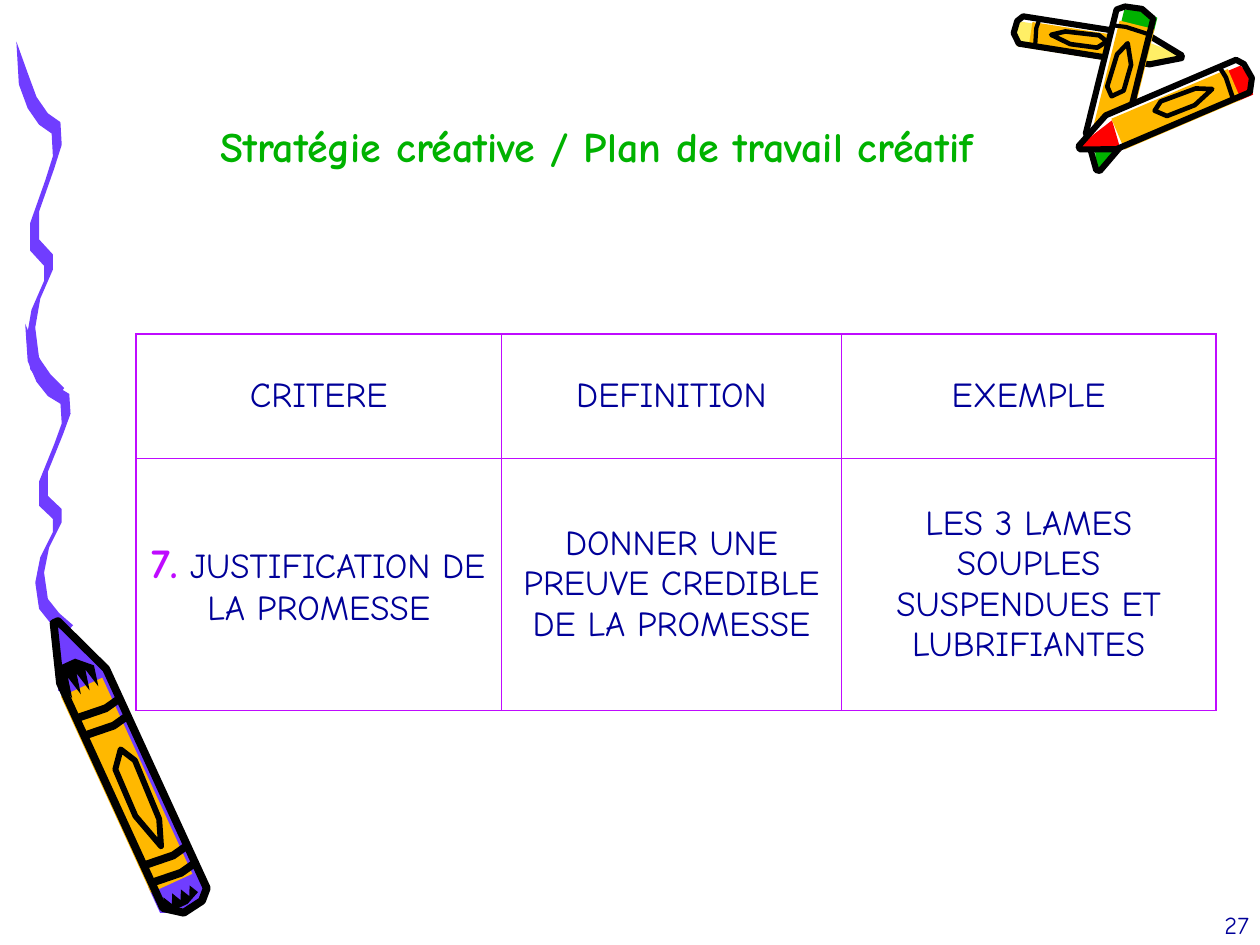
"""Build the creative work plan slide with its crayon decorations and criteria table."""
import math
from typing import NamedTuple

from lxml import etree
from pptx import Presentation
from pptx.dml.color import RGBColor
from pptx.enum import shapes, text
from pptx.oxml import ns
from pptx.util import Inches, Pt

FONT = "Comic Neue"
BLACK, WHITE, CREAM = "000000", "FFFFFF", "FFEF66"
VIOLET, ORANGE, GREEN, RED = "703DFF", "FFB800", "00B200", "FF0000"
NAVY, MAGENTA = "000099", "BF0BFF"

Point = tuple[float, float]


class Span(NamedTuple):
    """A stretch of text with one look."""
    words: str
    size: int = 20
    color: str = NAVY
    bold: bool = False


class Crayon(NamedTuple):
    """A crayon from tip to butt; a negative half width swaps its lit side."""
    tip: Point
    butt: Point
    half_width: float
    ink: str
    base: str = WHITE
    stroke: float = 3.5
    bands: tuple[float, ...] = (0.86,)
    teeth: bool = False

    def place(self, along: float, across: float) -> Point:
        """Turn a share of the length and of the half width into slide inches."""
        dx, dy = self.butt[0] - self.tip[0], self.butt[1] - self.tip[1]
        offset = across * self.half_width / math.hypot(dx, dy)
        return self.tip[0] + along * dx + offset * dy, self.tip[1] + along * dy - offset * dx


MARKER = Crayon((0.46, 4.93), (1.51, 7.22), 0.19, VIOLET, VIOLET, 4.5, (0.3, 0.36, 0.81, 0.87), True)
CRAYON_TRIO = [
    Crayon((9.38, 0.44), (8.05, 0.23), -0.11, CREAM),
    Crayon((8.7, 1.35), (9.02, 0.06), 0.15, GREEN),
    Crayon((8.56, 1.16), (9.92, 0.58), 0.14, RED),
]

SILHOUETTE = [(0, -0.2), (0.18, -1), (0.96, -1), (1, -0.3), (0.99, 0.6), (0.96, 1), (0.2, 1), (0, 0)]
NIB = [(0, -0.2), (0.2, -1.2), (0.22, 0.6), (0, 0)]
BARREL = [(0.22, -1.2), (0.9, -1.2), (0.9, 0.7), (0.22, 0.7)]
CAP = [(0.88, -1.2), (0.97, -1.2), (1, -0.3), (0.97, 0.6), (0.88, 0.6)]
OVAL = [(0.45, 0.15), (0.5, -0.4), (0.66, -0.45), (0.78, 0), (0.7, 0.4), (0.5, 0.5)]

WAVE_EDGE = [(0.13, 0.33), (0.15, 0.67), (0.22, 0.86), (0.31, 0.99), (0.41, 1.06), (0.42, 1.24),
             (0.36, 1.43), (0.24, 1.77), (0.24, 1.99), (0.35, 2.11), (0.35, 2.23), (0.25, 2.46),
             (0.21, 2.69), (0.24, 2.93), (0.33, 3.06), (0.44, 3.17)]
WAVE_THICKNESS = (0.07, -0.09)
WAVE_TOP = WAVE_EDGE[0][1]

COLUMNS, ROWS = [2.9, 2.7, 2.97], [0.99, 2]
CELLS = [
    [[Span("CRITERE")], [Span("DEFINITION")], [Span("EXEMPLE")]],
    [[Span("7.", 24, MAGENTA, True), Span(" JUSTIFICATION DE LA PROMESSE")],
     [Span("DONNER UNE PREUVE CREDIBLE DE LA PROMESSE")],
     [Span("LES 3 LAMES SOUPLES SUSPENDUES ET LUBRIFIANTES")]],
]


def rgb(color: str) -> RGBColor:
    """Turn a hex string into a colour."""
    return RGBColor.from_string(color)


def style(font, size: int, color: str, bold: bool) -> None:
    """Set the look of a paragraph or run font."""
    font.name, font.size, font.bold = FONT, Pt(size), bold
    font.color.rgb = rgb(color)


def write(p, spans: list[Span], align) -> None:
    """Fill one paragraph with spans of text."""
    p.alignment = align
    for span in spans:
        r = p.add_run()
        r.text = span.words
        style(p.font if len(spans) == 1 else r.font, span.size, span.color, span.bold)


def add_polygon(group, points: list[Point], fill: str = "", stroke: float = 0) -> None:
    """Add a closed outline with a fill, a black stroke, or both."""
    corners = [(Inches(x), Inches(y)) for x, y in points]
    builder = group.shapes.build_freeform(*corners[0])
    builder.add_line_segments(corners[1:], close=True)
    sp = builder.convert_to_shape()
    sp.shadow.inherit = False
    if fill:
        sp.fill.solid()
        sp.fill.fore_color.rgb = rgb(fill)
    else:
        sp.fill.background()
    if stroke:
        sp.line.color.rgb = rgb(BLACK)
        sp.line.width = Pt(stroke)
    else:
        sp.line.fill.background()


def band(center: float) -> list[Point]:
    """Outline a bowed band across a crayon."""
    front = [(center - 0.01, -1), (center, 0.3), (center - 0.01, 1)]
    return front + [(along + 0.025, across) for along, across in reversed(front)]


def teeth(edge: float, reach: float, count: int = 4) -> list[Point]:
    """Outline a jagged shading that starts at an edge and reaches along the crayon."""
    step = 1.6 / (2 * count)
    jags = [(edge + reach * (1 if i % 2 else 0.4), -1 + i * step) for i in range(2 * count + 1)]
    return [(edge, -0.9)] + jags + [(edge, 0)]


def draw_crayon(s, crayon: Crayon) -> None:
    """Draw a crayon from its base colour up to its black outline."""
    group = s.shapes.add_group_shape()
    parts = [(SILHOUETTE, crayon.base, 0), (NIB, crayon.ink, 0), (CAP, crayon.ink, 0), (BARREL, ORANGE, 0)]
    parts += [(band(center), BLACK, 0) for center in crayon.bands]
    if crayon.teeth:
        parts += [(teeth(0.13, 0.11), BLACK, 0), (teeth(0.98, -0.05), BLACK, 0)]
    parts += [(OVAL, "", crayon.stroke * 0.75), (SILHOUETTE, "", crayon.stroke)]
    for points, fill, stroke in parts:
        add_polygon(group, [crayon.place(*point) for point in points], fill, stroke)


def draw_wave(group, shift: float, top: float, stretch: float) -> None:
    """Draw the ribbon between the wave edge and the same edge moved by its thickness."""
    dx, dy = WAVE_THICKNESS
    ribbon = WAVE_EDGE + [(x + dx, y + dy) for x, y in reversed(WAVE_EDGE[1:])]
    add_polygon(group, [(x + shift, top + (y - WAVE_TOP) * stretch) for x, y in ribbon], VIOLET)


def add_border(cell, side: str, width: float) -> None:
    """Add a solid border to one side of a cell."""
    ln = etree.SubElement(cell._tc.get_or_add_tcPr(), ns.qn(f"a:ln{side}"), w=str(Pt(width)))
    fill = etree.SubElement(ln, ns.qn("a:solidFill"))
    etree.SubElement(fill, ns.qn("a:srgbClr"), val=MAGENTA)


def add_criteria(s) -> None:
    """Add the criteria table with a heavier outer frame."""
    frame = s.shapes.add_table(len(ROWS), len(COLUMNS), Inches(1.08), Inches(2.65),
                               Inches(sum(COLUMNS)), Inches(sum(ROWS)))
    table = frame.table
    for column, width in zip(table.columns, COLUMNS):
        column.width = Inches(width)
    for i, height in enumerate(ROWS):
        table.rows[i].height = Inches(height)
        for j, spans in enumerate(CELLS[i]):
            cell = table.cell(i, j)
            outer = {"L": j == 0, "R": j == len(COLUMNS) - 1, "T": i == 0, "B": i == len(ROWS) - 1}
            for side, is_outer in outer.items():
                add_border(cell, side, 1.08 if is_outer else 0.45)
            cell.fill.background()
            cell.vertical_anchor = text.MSO_ANCHOR.MIDDLE
            write(cell.text_frame.paragraphs[0], spans, text.PP_ALIGN.CENTER)


def main() -> None:
    """Build and save the slide."""
    prs = Presentation()
    prs.slide_width, prs.slide_height = Inches(10), Inches(7.5)
    s = prs.slides.add_slide(prs.slide_layouts[5])

    squiggle = s.shapes.add_group_shape()
    draw_wave(squiggle, 0.07, 2.57, 0.87)
    draw_wave(squiggle, 0, WAVE_TOP, 1)
    for crayon in [MARKER, *CRAYON_TRIO]:
        draw_crayon(s, crayon)

    title = s.shapes.title
    title.left, title.top, title.width, title.height = map(Inches, (1.65, 0.91, 6.23, 0.5))
    tf = title.text_frame
    tf.word_wrap, tf.auto_size = False, text.MSO_AUTO_SIZE.NONE
    tf.vertical_anchor = text.MSO_ANCHOR.TOP
    write(tf.paragraphs[0], [Span("Stratégie créative / Plan de travail créatif", 24, GREEN, True)],
          text.PP_ALIGN.LEFT)

    add_criteria(s)
    number = s.shapes.add_textbox(Inches(7.93), Inches(7.17), Inches(2.08), Inches(0.5))
    number.text_frame.word_wrap = True
    write(number.text_frame.paragraphs[0], [Span("27", 14)], text.PP_ALIGN.RIGHT)
    prs.save("out.pptx")


if __name__ == "__main__":
    main()
